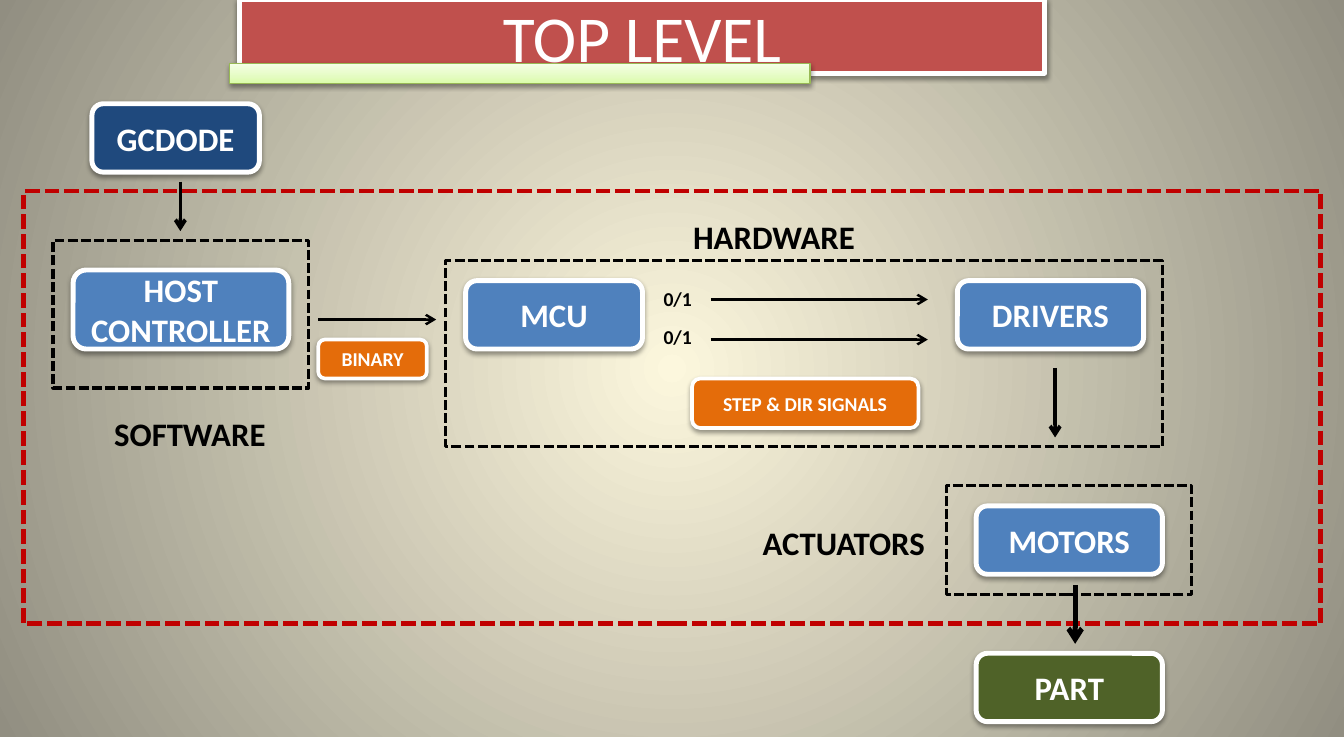
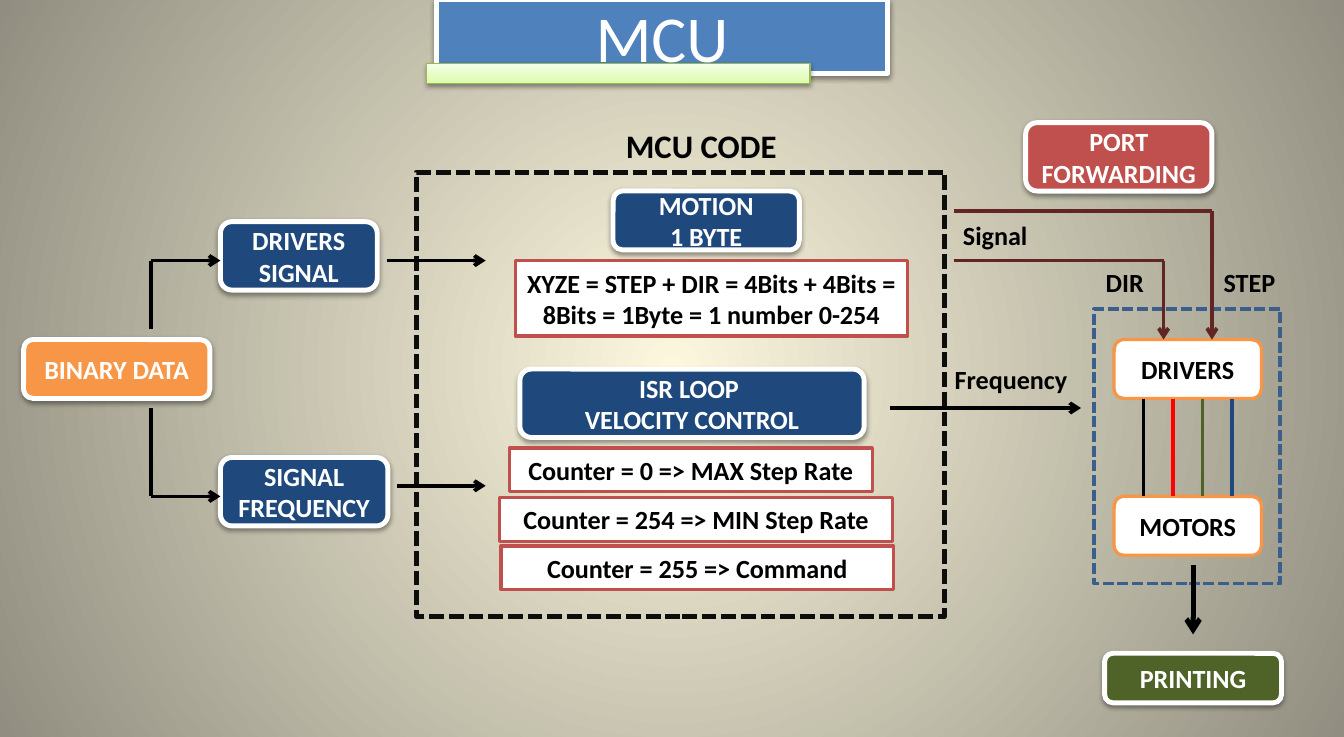
from pptx import Presentation
from pptx.dml.color import RGBColor
from pptx.enum.dml import MSO_LINE
from pptx.enum.shapes import MSO_CONNECTOR, MSO_SHAPE
from pptx.enum.text import MSO_ANCHOR, MSO_AUTO_SIZE, PP_ALIGN
from pptx.oxml import parse_xml
from pptx.oxml.ns import nsdecls
from pptx.util import Inches, Pt

RECTANGLE, ROUNDED = MSO_SHAPE.RECTANGLE, MSO_SHAPE.ROUNDED_RECTANGLE
STRAIGHT, DASH = MSO_CONNECTOR.STRAIGHT, MSO_LINE.SQUARE_DOT
MIDDLE, TOP = MSO_ANCHOR.MIDDLE, MSO_ANCHOR.TOP
CENTER, LEFT = PP_ALIGN.CENTER, PP_ALIGN.LEFT
FIT_SHAPE, NO_FIT = MSO_AUTO_SIZE.SHAPE_TO_FIT_TEXT, MSO_AUTO_SIZE.NONE

# Shared look
FONT = "Calibri"
BLACK, WHITE, INK = "000000", "FFFFFF", "0D0D0D"
BLUE, NAVY, STEEL = "4F81BD", "1F497D", "3A5F8C"
RED, DEEP_RED, MAROON, PURE_RED = "C0504D", "C00000", "632523", "FF0000"
ORANGE, DARK_ORANGE, OLIVE = "F79646", "E46C0A", "4F6228"
BAR_LINE = "98B955"
BACKGROUND_STOPS = [(0, "FCF7DD"), (100, "918E81")]
BAR_STOPS = [(0, "DAFDA7"), (35, "E4FCC2"), (100, "F5FFE7")]
RADIAL = ('<a:path path="circle"><a:fillToRect l="50000" t="50000" '
          'r="50000" b="50000"/></a:path>')
UPWARD = '<a:lin ang="16200000" scaled="0"/>'

# Content. frames: place, colour, width; boxes: text, place, fill, size;
# outlined: text, place, kind, colour; routes: points, colour, width, arrow;
# labels: text, place, size
TOP_LEVEL = {
    "title": ("TOP LEVEL", 2.03, 6.83, RED),
    "bar": (1.95, 4.92),
    "frames": [
        ((3.78, 2.21, 6.08, 1.58), BLACK, 2),
        ((0.45, 2.04, 2.17, 1.25), BLACK, 2),
        ((8.03, 4.12, 2.08, 0.92), BLACK, 2),
        ((0.2, 1.62, 11, 3.67), DEEP_RED, 3),
    ],
    "boxes": [
        ("GCDODE", (0.78, 0.88, 1.42, 0.58), NAVY, 20),
        ("HOST CONTROLLER", (0.62, 2.29, 1.83, 0.67), BLUE, 20),
        ("MCU", (3.95, 2.38, 1.5, 0.58), BLUE, 20),
        ("DRIVERS", (8.12, 2.38, 1.58, 0.58), BLUE, 20),
        ("MOTORS", (8.28, 4.29, 1.58, 0.58), BLUE, 20),
        ("PART", (8.28, 5.54, 1.58, 0.58), OLIVE, 20),
        ("STEP & DIR SIGNALS", (5.87, 3.21, 1.92, 0.42), DARK_ORANGE, 12),
        ("BINARY", (2.7, 2.88, 0.92, 0.33), DARK_ORANGE, 12),
    ],
    "outlined": [],
    "routes": [
        ([(6.03, 2.54), (7.87, 2.54)], BLACK, 1.5, True),
        ([(6.03, 2.88), (7.87, 2.88)], BLACK, 1.5, True),
        ([(2.7, 2.71), (3.7, 2.71)], BLACK, 1.5, True),
        ([(1.53, 1.54), (1.53, 1.96)], BLACK, 2.25, True),
        ([(8.95, 3.12), (8.95, 3.71)], BLACK, 2.25, True),
        ([(9.12, 4.96), (9.12, 5.46)], BLACK, 3, True),
    ],
    "labels": [
        ("0/1", (5.53, 2.38, 0.45, 0.3), 12),
        ("0/1", (5.53, 2.71, 0.45, 0.3), 12),
        ("HARDWARE", (5.78, 1.79, 1.59, 0.44), 20),
        ("SOFTWARE", (0.87, 3.46, 1.5, 0.44), 20),
        ("ACTUATORS", (6.37, 4.38, 1.59, 0.44), 20),
    ],
}

WIRE_COLORS = [BLACK, PURE_RED, OLIVE, NAVY]
WIRE_LEFT, WIRE_GAP, WIRE_TOP, WIRE_BOTTOM = 9.7, 0.25, 3.38, 4.21
WIRES = [([(WIRE_LEFT + i * WIRE_GAP, WIRE_TOP),
           (WIRE_LEFT + i * WIRE_GAP, WIRE_BOTTOM)], color, 2.25, False)
         for i, color in enumerate(WIRE_COLORS)]

MCU = {
    "title": ("MCU", 3.7, 3.83, BLUE),
    "bar": (3.62, 3.25),
    "frames": [
        ((9.28, 2.62, 1.58, 2.33), STEEL, 2.25),
        ((3.53, 1.46, 4.48, 3.77), INK, 3),
    ],
    "boxes": [
        ("BINARY DATA", (0.2, 2.88, 1.58, 0.5), ORANGE, 16),
        ("PRINTING", (9.37, 5.54, 1.5, 0.42), OLIVE, 16),
        ("DRIVERS SIGNAL", (1.87, 1.88, 1.33, 0.58), NAVY, 16),
        ("SIGNAL FREQUENCY", (1.87, 3.88, 1.42, 0.58), NAVY, 16),
        ("MOTION\n1 BYTE", (5.2, 1.62, 1.58, 0.5), NAVY, 16),
        ("ISR LOOP \nVELOCITY CONTROL", (4.41, 3.13, 2.92, 0.58), NAVY, 16),
        ("PORT FORWARDING", (8.7, 1.04, 1.58, 0.58), RED, 16),
    ],
    "outlined": [
        ("XYZE = STEP + DIR = 4Bits + 4Bits = 8Bits = 1Byte = 1 number 0-254",
         (4.37, 2.21, 3.33, 0.64), RECTANGLE, RED),
        ("Counter = 0 => MAX Step Rate", (4.32, 3.8, 3.08, 0.37), RECTANGLE, RED),
        ("Counter = 254 => MIN Step Rate", (4.24, 4.22, 3.33, 0.37), RECTANGLE, RED),
        ("Counter = 255 => Command", (4.25, 4.63, 3.33, 0.37), RECTANGLE, RED),
        ("DRIVERS", (9.45, 2.88, 1.25, 0.5), ROUNDED, ORANGE),
        ("MOTORS", (9.45, 4.21, 1.25, 0.5), ROUNDED, ORANGE),
    ],
    "routes": WIRES + [
        ([(8.09, 2.21), (9.87, 2.21), (9.87, 2.88)], MAROON, 2.25, True),
        ([(8.09, 1.79), (10.28, 1.79), (10.28, 2.88)], MAROON, 2.25, True),
        ([(1.28, 2.79), (1.28, 2.21), (1.87, 2.21)], BLACK, 2.25, True),
        ([(1.28, 3.46), (1.28, 4.21), (1.87, 4.21)], BLACK, 2.25, True),
        ([(3.28, 2.21), (4.12, 2.21)], BLACK, 2.25, True),
        ([(3.37, 4.12), (4.12, 4.12)], BLACK, 2.25, True),
        ([(7.55, 3.46), (9.17, 3.46)], BLACK, 2.25, True),
        ([(10.12, 4.79), (10.12, 5.38)], BLACK, 3, True),
    ],
    "labels": [
        ("MCU CODE", (5.21, 1.02, 1.49, 0.44), 20),
        ("DIR", (9.28, 2.21, 0.53, 0.37), 16),
        ("STEP", (10.28, 2.21, 0.83, 0.37), 16),
        ("Frequency", (8, 3.03, 1.17, 0.37), 16),
        ("Signal", (8.07, 1.81, 0.76, 0.37), 16),
    ],
}


def rgb(value):
    return RGBColor.from_string(value)


def gradient_xml(stops, direction, namespaces=""):
    stop_xml = "".join(
        f'<a:gs pos="{position * 1000}"><a:srgbClr val="{color}"/></a:gs>'
        for position, color in stops)
    return (f'<a:gradFill {namespaces} rotWithShape="1"><a:gsLst>{stop_xml}'
            f'</a:gsLst>{direction}</a:gradFill>')


def set_background(layout):
    background = parse_xml(
        f'<p:bg {nsdecls("p", "a")}><p:bgPr>'
        f'{gradient_xml(BACKGROUND_STOPS, RADIAL)}<a:effectLst/></p:bgPr></p:bg>')
    layout.element.cSld.insert(0, background)


def set_text(shape, text, size, color=WHITE, bold=True, align=CENTER,
             anchor=MIDDLE, wrap=True, fit=NO_FIT):
    frame = shape.text_frame
    frame.word_wrap, frame.auto_size, frame.vertical_anchor = wrap, fit, anchor
    paragraph = frame.paragraphs[0]
    paragraph.text = text
    paragraph.alignment = align
    for run in paragraph.runs:
        run.font.name, run.font.size, run.font.bold = FONT, Pt(size), bold
        run.font.color.rgb = rgb(color)


def set_outline(shape, color, width, dash=None):
    shape.line.color.rgb = rgb(color)
    shape.line.width = Pt(width)
    if dash:
        shape.line.dash_style = dash


def set_shadow(shape):
    shape.shadow.inherit = False
    effects = shape.element.spPr.find("{*}effectLst")
    effects.append(parse_xml(
        f'<a:outerShdw {nsdecls("a")} blurRad="{Pt(3.1)}" dist="{Pt(1.6)}" '
        'dir="5400000" rotWithShape="0"><a:srgbClr val="000000">'
        '<a:alpha val="38000"/></a:srgbClr></a:outerShdw>'))


def add_box(slide, kind, place, fill=None):
    shape = slide.shapes.add_shape(kind, *map(Inches, place))
    shape.shadow.inherit = False
    if fill:
        shape.fill.solid()
        shape.fill.fore_color.rgb = rgb(fill)
    else:
        shape.fill.background()
    return shape


def add_title(slide, text, left, width, fill):
    title = slide.shapes.title
    title.left, title.top = Inches(left), Inches(0)
    title.width, title.height = Inches(width), Inches(0.62)
    title.fill.solid()
    title.fill.fore_color.rgb = rgb(fill)
    set_outline(title, WHITE, 3)
    set_shadow(title)
    set_text(title, text, 40, bold=False)


def add_bar(slide, left, width):
    bar = slide.shapes.add_shape(
        RECTANGLE, *map(Inches, (left, 0.54, width, 0.17)))
    gradient = parse_xml(gradient_xml(BAR_STOPS, UPWARD, nsdecls("a")))
    bar.element.spPr.find("{*}prstGeom").addnext(gradient)
    set_outline(bar, BAR_LINE, 0.75)
    set_shadow(bar)


def add_route(slide, points, color, width, arrow):
    for start, end in zip(points, points[1:]):
        connector = slide.shapes.add_connector(
            STRAIGHT, *map(Inches, start + end))
        set_outline(connector, color, width)
        properties = connector.element.spPr
        if arrow and end == points[-1]:
            properties.find("{*}ln").append(
                parse_xml(f'<a:tailEnd {nsdecls("a")} type="arrow"/>'))
        properties.append(parse_xml(f'<a:effectLst {nsdecls("a")}/>'))


def build_slide(presentation, layout, content):
    slide = presentation.slides.add_slide(layout)
    add_title(slide, *content["title"])
    add_bar(slide, *content["bar"])
    # Dashed groups
    for place, color, width in content["frames"]:
        set_outline(add_box(slide, RECTANGLE, place), color, width, DASH)
    # Filled blocks, with a thinner edge around small text
    for text, place, fill, size in content["boxes"]:
        shape = add_box(slide, ROUNDED, place, fill)
        set_outline(shape, WHITE, 2.25 if size == 12 else 3)
        set_shadow(shape)
        set_text(shape, text, size)
    # White blocks
    for text, place, kind, color in content["outlined"]:
        shape = add_box(slide, kind, place, WHITE)
        set_outline(shape, color, 2)
        set_text(shape, text, 16, BLACK)
    # Arrows and wires
    for route in content["routes"]:
        add_route(slide, *route)
    # Free labels
    for text, place, size in content["labels"]:
        label = slide.shapes.add_textbox(*map(Inches, place))
        set_text(label, text, size, BLACK, align=LEFT, anchor=TOP,
                 wrap=False, fit=FIT_SHAPE)


presentation = Presentation()
presentation.slide_width, presentation.slide_height = Inches(11.4), Inches(6.25)
title_only = presentation.slide_layouts[5]
set_background(title_only)
for slide_content in (TOP_LEVEL, MCU):
    build_slide(presentation, title_only, slide_content)
presentation.save("out.pptx")
